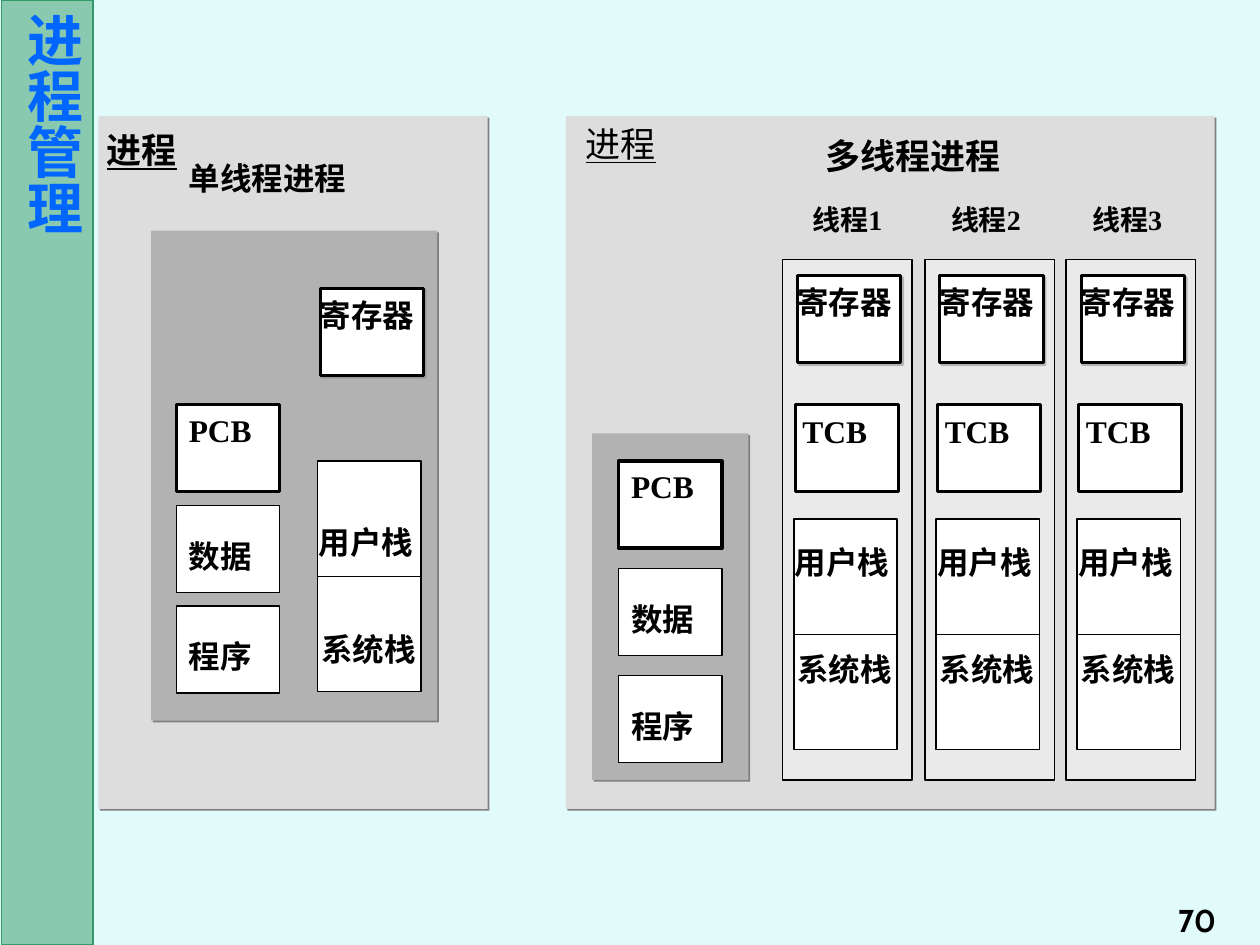
from pptx import Presentation
from pptx.dml.color import RGBColor
from pptx.enum.shapes import MSO_CONNECTOR as Connector, MSO_SHAPE as Shape
from pptx.enum.text import MSO_ANCHOR as Anchor, PP_ALIGN as Align
from pptx.oxml.ns import qn
from pptx.util import Inches, Pt
from lxml.etree import SubElement

BLACK, WHITE = "000000", "FFFFFF"
PANEL, PROCESS, LANE = "DDDDDD", "B2B2B2", "EAEAEA"
BOX_W, BOX_H = 0.82, 0.69
LABEL_W = 1.03
STACK_H = 1.83


def rgb(code):
    return RGBColor.from_string(code)


class Diagram:
    font = "Times New Roman"
    size = 18

    def __init__(self, slide):
        self.slide = slide

    def set_text(self, shape, text, size=None, bold=True, underline=None,
                 align=Align.JUSTIFY, font=None, color=BLACK, anchor=Anchor.TOP):
        frame = shape.text_frame
        frame.word_wrap = True
        frame.vertical_anchor = anchor
        paragraph = frame.paragraphs[0]
        paragraph.text = text
        paragraph.alignment = align
        style = paragraph.font
        style.name = font or self.font
        style.size = Pt(size or self.size)
        style.bold = bold
        style.underline = underline
        style.color.rgb = rgb(color)

    def label(self, text, left, top, width=LABEL_W, height=BOX_H, **style):
        box = self.slide.shapes.add_textbox(
            Inches(left), Inches(top), Inches(width), Inches(height))
        self.set_text(box, text, **style)

    def rect(self, left, top, width=BOX_W, height=BOX_H, fill=WHITE,
             line=0.75, line_color=BLACK, shadow=0):
        rect = self.slide.shapes.add_shape(
            Shape.RECTANGLE, Inches(left), Inches(top), Inches(width), Inches(height))
        rect.shadow.inherit = False
        rect.fill.solid()
        rect.fill.fore_color.rgb = rgb(fill)
        if line:
            rect.line.color.rgb = rgb(line_color)
            rect.line.width = Pt(line)
        else:
            rect.line.fill.background()
        if shadow:
            effects = rect._element.spPr.find(qn("a:effectLst"))
            outer = SubElement(effects, qn("a:outerShdw"), dist=str(Pt(1.4)),
                               dir="2700000", algn="ctr", rotWithShape="0")
            tint = SubElement(outer, qn("a:srgbClr"), val="808080")
            SubElement(tint, qn("a:alpha"), val=str(shadow * 1000))
        return rect

    def panel(self, left, top, width, height, fill):
        self.rect(left, top, width, height, fill, line=0, shadow=100)

    def stacks(self, left, top, user_top, system_top):
        stack = self.rect(left, top, height=STACK_H, line=1)
        divider = self.slide.shapes.add_connector(Connector.STRAIGHT, 0, 0, 0, 0)
        divider.begin_connect(stack, 1)
        divider.end_connect(stack, 3)
        divider.line.color.rgb = rgb(BLACK)
        divider.line.width = Pt(0.75)
        SubElement(divider._element.spPr, qn("a:effectLst"))
        self.label("用户栈", left - 0.09, user_top)
        self.label("系统栈", left - 0.07, system_top)

    def registers(self, left, top):
        self.rect(left, top, line=1.75, shadow=50)
        self.label("寄存器", left - 0.1, top + 0.01)

    def memory(self, left, top, step):
        pcb = self.rect(left, top, line=2)
        self.set_text(pcb, "PCB")
        for row, name in enumerate(("数据", "程序"), 1):
            box_top = top + row * step
            self.rect(left, box_top)
            self.label(name, left, box_top + 0.2, BOX_W)

    def thread(self, number, left, title_left):
        self.rect(left, 2.06, LABEL_W, 4.13, LANE, line=1)
        self.stacks(left + 0.09, 4.12, 4.26, 5.11)
        self.rect(left + 0.1, 3.21, line=1.75)
        self.label("TCB", left + 0.06, 3.22)
        self.registers(left + 0.12, 2.19)
        self.label(f"线程{number}", title_left, 1.56, 0.89, 0.63, size=16)

    def sidebar(self, text):
        bar = self.rect(0.01, 0, 0.73, 7.5, "339966", line_color="339966")
        color = bar._element.spPr.find(qn("a:solidFill"))[0]
        SubElement(color, qn("a:alpha"), val="50000")
        frame = bar.text_frame
        frame.margin_left = frame.margin_right = Inches(0.05)
        frame.margin_top = frame.margin_bottom = Inches(0.1)
        frame._txBody.bodyPr.set("vert", "eaVert")
        self.set_text(bar, text, size=32, align=Align.CENTER, font="Cabin", color="0066FF")


def main():
    deck = Presentation()
    deck.slide_width, deck.slide_height = Inches(10), Inches(7.5)
    slide = deck.slides.add_slide(deck.slide_layouts[6])
    slide.background.fill.solid()
    slide.background.fill.fore_color.rgb = rgb("E1FAFA")
    diagram = Diagram(slide)

    diagram.sidebar("进程管理")
    diagram.label("70", 8.75, 7, 1, 0.5, align=Align.RIGHT, font="Cabin",
                  anchor=Anchor.BOTTOM)

    diagram.panel(0.78, 0.92, 3.09, 5.5, PANEL)
    diagram.panel(1.2, 1.83, 2.27, 3.89, PROCESS)
    diagram.stacks(2.52, 3.66, 4.1, 4.95)
    diagram.memory(1.4, 3.21, step=0.8)
    diagram.label("单线程进程", 1.4, 1.21, 2.28)
    diagram.registers(2.54, 2.29)
    diagram.label("进程", 0.75, 0.97, 0.95, size=20, underline=True)

    diagram.panel(4.49, 0.92, 5.15, 5.5, PANEL)
    diagram.panel(4.7, 3.44, 1.24, 2.75, PROCESS)
    diagram.memory(4.91, 3.66, step=0.85)
    diagram.label("多线程进程", 6.45, 1.02, 2.37, size=20)
    lanes = ((6.21, 6.35), (7.34, 7.45), (8.46, 8.57))
    for number, (left, title_left) in enumerate(lanes, 1):
        diagram.thread(number, left, title_left)
    diagram.label("进程", 4.55, 0.92, 0.97, size=20, bold=False, underline=True)

    deck.save("out.pptx")


if __name__ == "__main__":
    main()
